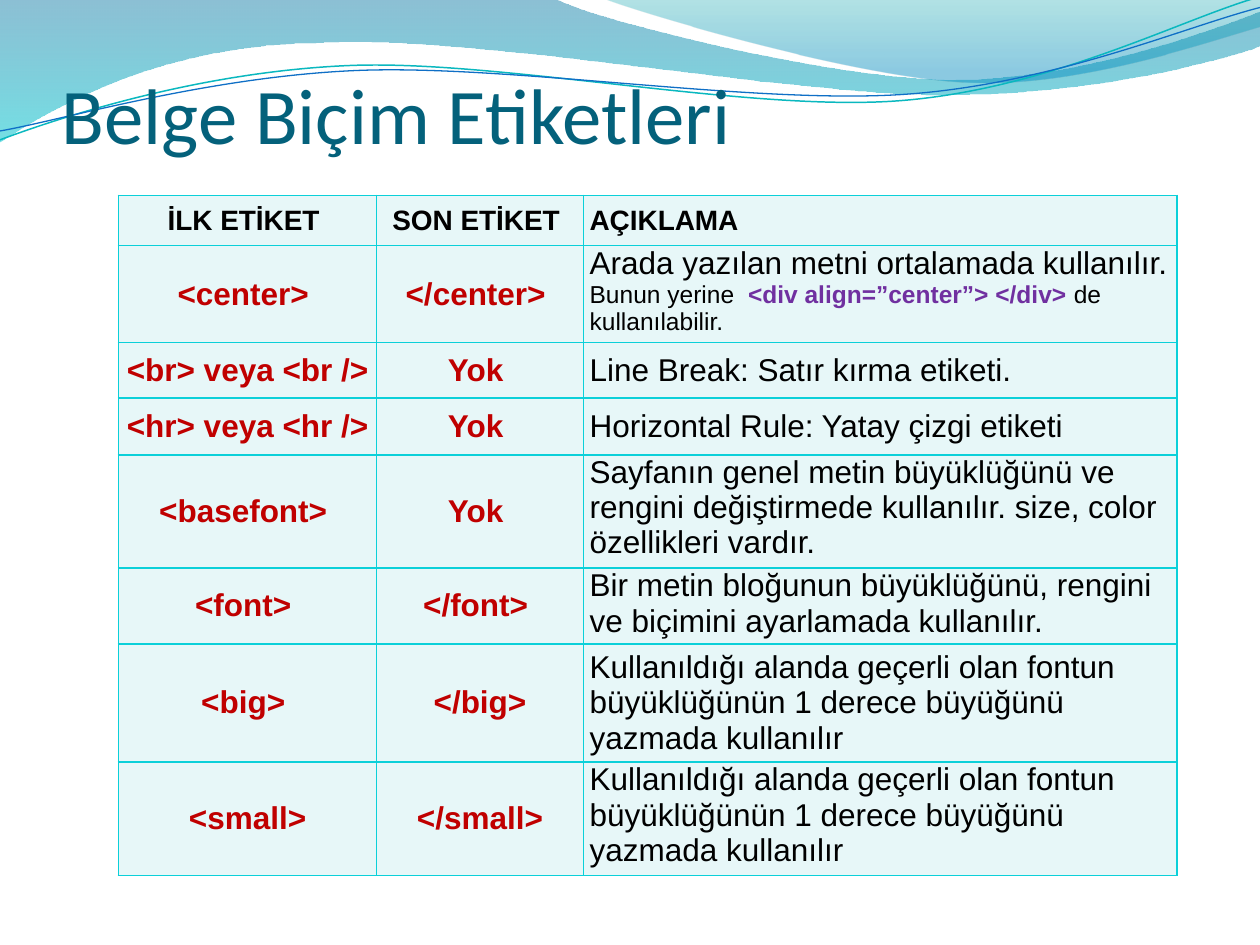
import math
from dataclasses import dataclass

from lxml import etree
from pptx import Presentation
from pptx.dml.color import RGBColor
from pptx.enum import text
from pptx.oxml import ns
from pptx.util import Emu, Inches, Pt

Point = tuple[float, float]

BLACK, RED, PURPLE = "000000", "C00000", "7030A0"
TITLE_COLOR, CELL_FILL, BORDER = "04617B", "E7F7F8", "0BD0D9"


@dataclass
class Stop:
    position: float
    color: str
    opacity: int


@dataclass
class Wave:
    start: Point
    segments: list[tuple[Point, ...]]
    stops: tuple[Stop, ...] = ()
    line_color: str = ""
    line_width: float = 0
    tilt: float = 0
    center: Point = (0, 0)


@dataclass
class Piece:
    wording: str
    size: int = 18
    color: str = BLACK
    bold: bool = False


@dataclass
class TagRow:
    height: float
    opening: str
    closing: str
    description: list[Piece]
    top: bool = False


def rgb(color: str) -> RGBColor:
    return RGBColor.from_string(color)


def level(point: Point, wave: Wave) -> tuple[int, int]:
    angle = math.radians(-wave.tilt)
    x, y = point[0] - wave.center[0], point[1] - wave.center[1]
    return (
        Inches(wave.center[0] + x * math.cos(angle) - y * math.sin(angle)),
        Inches(wave.center[1] + x * math.sin(angle) + y * math.cos(angle)),
    )


def bend(shape, segments: list[tuple[Point, ...]]) -> None:
    corners = iter(list(shape._element.iter(ns.qn("a:lnTo"))))
    for segment in segments:
        first, *others = [next(corners) for _ in segment]
        if others:
            first.tag = ns.qn("a:cubicBezTo")
        for other in others:
            first.append(other[0])
            other.getparent().remove(other)


def draw_wave(slide, wave: Wave) -> None:
    points = [level(point, wave) for segment in wave.segments for point in segment]
    builder = slide.shapes.build_freeform(*level(wave.start, wave))
    builder.add_line_segments(points, close=bool(wave.stops))
    shape = builder.convert_to_shape()
    bend(shape, wave.segments)
    shape.rotation = wave.tilt
    shape.shadow.inherit = False
    if not wave.stops:
        shape.fill.background()
        shape.line.color.rgb = rgb(wave.line_color)
        shape.line.width = Pt(wave.line_width)
        return
    shape.line.fill.background()
    shape.fill.gradient()
    shape.fill.gradient_angle = 270
    for target, stop in zip(shape.fill.gradient_stops, wave.stops):
        target.position = stop.position
        target.color.rgb = rgb(stop.color)
    for color, stop in zip(list(shape._element.spPr.iter(ns.qn("a:srgbClr"))), wave.stops):
        etree.SubElement(color, ns.qn("a:alpha")).set("val", str(stop.opacity * 1000))


def add_borders(cell) -> None:
    properties = cell._tc.get_or_add_tcPr()
    for index, side in enumerate(("lnL", "lnR", "lnT", "lnB")):
        line = etree.Element(ns.qn(f"a:{side}"), w=str(Pt(1)))
        fill = etree.SubElement(line, ns.qn("a:solidFill"))
        etree.SubElement(fill, ns.qn("a:srgbClr"), val=BORDER)
        properties.insert(index, line)


def fill_cell(cell, pieces: list[Piece], centered: bool, top: bool = False) -> None:
    cell.margin_left = cell.margin_right = Inches(0.05)
    cell.margin_top = cell.margin_bottom = Emu(0)
    cell.vertical_anchor = text.MSO_ANCHOR.TOP if top else text.MSO_ANCHOR.MIDDLE
    cell.fill.solid()
    cell.fill.fore_color.rgb = rgb(CELL_FILL)
    add_borders(cell)
    paragraph = cell.text_frame.paragraphs[0]
    paragraph.alignment = text.PP_ALIGN.CENTER if centered else text.PP_ALIGN.LEFT
    for piece in pieces:
        run = paragraph.add_run()
        run.text = piece.wording
        run.font.name = "Arial"
        run.font.size = Pt(piece.size)
        run.font.bold = piece.bold
        run.font.color.rgb = rgb(piece.color)


def draw_title(slide, wording: str) -> None:
    title = slide.shapes.title
    slide.shapes._spTree.append(title._element)
    title.left, title.top = Inches(0.49), Inches(0.52)
    title.width, title.height = Inches(9), Inches(1.5)
    frame = title.text_frame
    frame.text = wording
    frame.word_wrap = True
    frame.auto_size = text.MSO_AUTO_SIZE.NONE
    frame.vertical_anchor = text.MSO_ANCHOR.TOP
    frame.margin_left = frame.margin_right = Emu(0)
    frame.margin_top = frame.margin_bottom = Emu(0)
    heading = frame.paragraphs[0]
    heading.alignment = text.PP_ALIGN.LEFT
    font = heading.runs[0].font
    font.name, font.size = "Calibri", Pt(45)
    font.color.rgb = rgb(TITLE_COLOR)


def draw_tags(slide, headers: list[str], rows: list[TagRow]) -> None:
    widths = [2.05, 1.64, 4.71]
    heights = [0.4] + [row.height for row in rows]
    tags = slide.shapes.add_table(
        len(heights), len(widths), Inches(0.94), Inches(1.55),
        Inches(sum(widths)), Inches(sum(heights)),
    ).table
    tags.first_row = tags.horz_banding = False
    for column, width in zip(tags.columns, widths):
        column.width = Inches(width)
    for line, height in zip(tags.rows, heights):
        line.height = Inches(height)
    for index, header in enumerate(headers):
        fill_cell(tags.cell(0, index), [Piece(header, 16, bold=True)], index < 2)
    for number, row in enumerate(rows, 1):
        for index, tag in enumerate((row.opening, row.closing)):
            fill_cell(tags.cell(number, index), [Piece(tag, 18, RED, True)], True)
        fill_cell(tags.cell(number, 2), row.description, False, row.top)


WAVES = [
    Wave((0, -0.01), [
        ((4.4, -0.01),),
        ((4.76, 0.17), (6.64, 0.63), (7.58, 0.63)),
        ((8.53, 0.63), (9.58, 0.26), (10, 0.09)),
        ((10.01, 0.36),),
        ((9.83, 0.44), (8.7, 0.76), (7.46, 0.75)),
        ((6.22, 0.75), (3.82, 0.28), (2.57, 0.34)),
        ((1.29, 0.35), (0.46, 0.83), (-0.01, 1.13)),
        ((0, -0.01),),
    ], stops=(Stop(0, "0074A1", 45), Stop(1, "00C6CF", 55))),
    Wave((4.79, -0.01), [
        ((5.09, 0.11), (6.82, 0.62), (7.69, 0.65)),
        ((8.56, 0.69), (9.61, 0.32), (10, 0.21)),
        ((10, 0),),
        ((4.79, -0.01),),
    ], stops=(Stop(0, "00A1A9", 30), Stop(0.8, "008BBF", 45))),
    Wave((0, 1.11), [
        ((0.48, 0.93), (1.58, 0.57), (2.77, 0.52)),
        ((3.95, 0.47), (5.93, 0.89), (7.13, 0.8)),
        ((8.33, 0.71), (9.38, 0.15), (9.98, -0.02)),
    ], line_color="0AB8BF", line_width=0.85, tilt=-2.7, center=(4.99, 0.58)),
    Wave((0, 1.04), [
        ((0.47, 0.96), (1.64, 0.61), (2.83, 0.56)),
        ((4.03, 0.51), (5.97, 0.83), (7.17, 0.75)),
        ((8.36, 0.67), (9.41, 0.21), (10, 0.06)),
    ], line_color="0F6FC6", line_width=0.75, tilt=-2.7, center=(5, 0.59)),
]

ONE_STEP = [Piece("Kullanıldığı alanda geçerli olan fontun büyüklüğünün 1 derece büyüğünü yazmada kullanılır")]
ROWS = [
    TagRow(0.77, "<center> ", "</center> ", [
        Piece("Arada yazılan metni ortalamada kullanılır. "),
        Piece("Bunun yerine  ", 14),
        Piece("<div align=”center”> </div> ", 14, PURPLE, True),
        Piece("de kullanılabilir.", 14),
    ], top=True),
    TagRow(0.44, "<br> veya <br /> ", "Yok ", [Piece("Line Break: Satır kırma etiketi.")]),
    TagRow(0.45, "<hr> veya <hr /> ", "Yok ", [Piece("Horizontal Rule: Yatay çizgi etiketi")]),
    TagRow(0.9, "<basefont> ", "Yok ", [
        Piece("Sayfanın genel metin büyüklüğünü ve rengini değiştirmede kullanılır. size, color özellikleri vardır."),
    ], top=True),
    TagRow(0.6, "<font> ", "</font> ", [
        Piece("Bir metin bloğunun büyüklüğünü, rengini ve biçimini ayarlamada kullanılır."),
    ], top=True),
    TagRow(0.94, "<big> ", "</big>", ONE_STEP),
    TagRow(0.9, "<small>", "</small>", ONE_STEP, top=True),
]


def main() -> None:
    deck = Presentation()
    deck.slide_width, deck.slide_height = Inches(10), Inches(7.5)
    slide = deck.slides.add_slide(deck.slide_layouts[5])
    for wave in WAVES:
        draw_wave(slide, wave)
    draw_title(slide, "Belge Biçim Etiketleri")
    draw_tags(slide, ["İLK ETİKET ", "SON ETİKET ", "AÇIKLAMA"], ROWS)
    deck.save("out.pptx")


if __name__ == "__main__":
    main()
